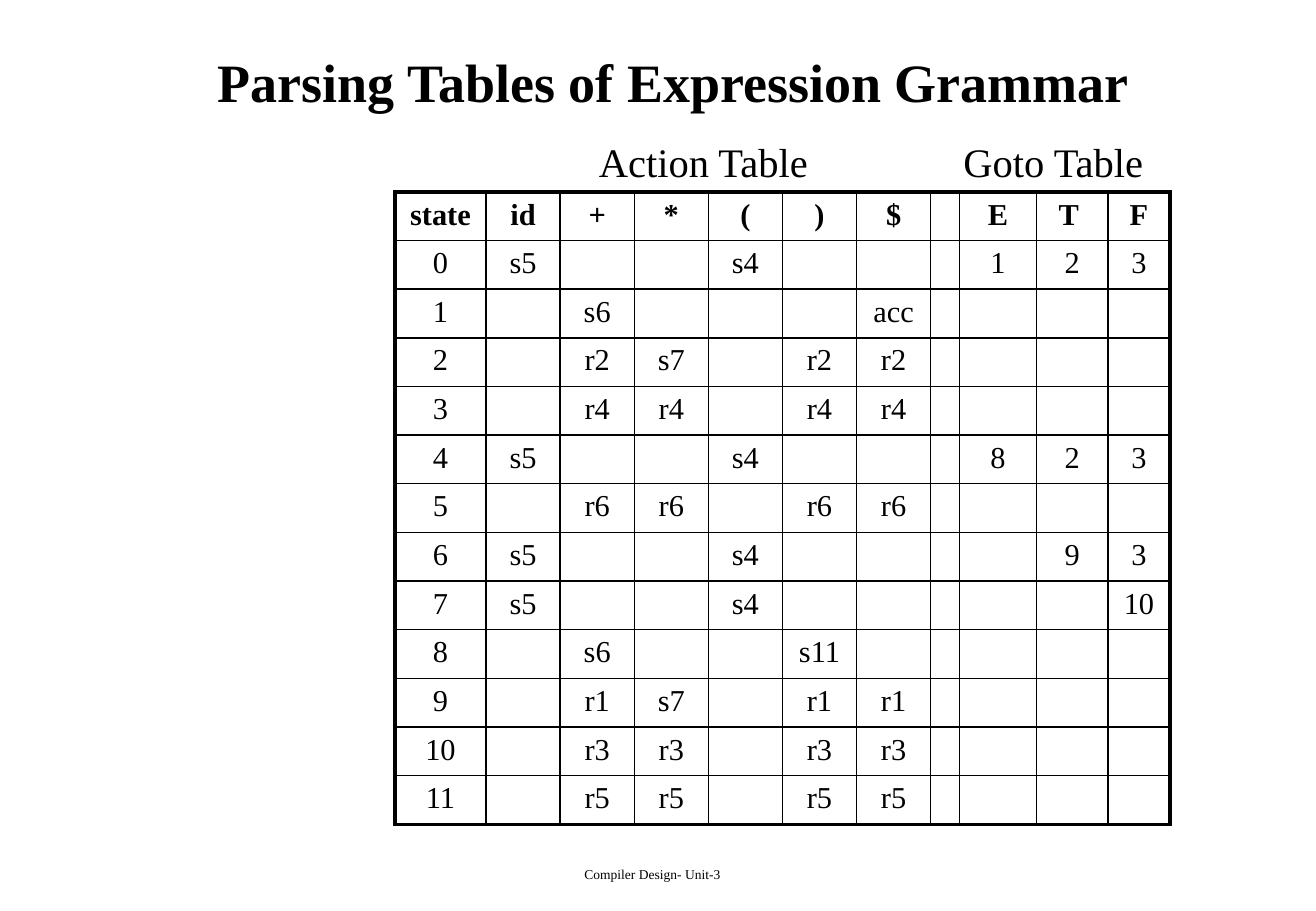
from lxml import etree
from pptx import Presentation
from pptx.dml.color import RGBColor
from pptx.enum.text import MSO_ANCHOR, MSO_AUTO_SIZE, PP_ALIGN
from pptx.oxml.ns import qn
from pptx.util import Inches, Pt

CENTER, LEFT = PP_ALIGN.CENTER, PP_ALIGN.LEFT
MIDDLE = MSO_ANCHOR.MIDDLE
NO_FIT = MSO_AUTO_SIZE.NONE
FONT = "Times New Roman"
BLACK = "000000"
THIN, THICK = 1, 2.25
COL_WIDTHS = [0.75] + [0.61] * 6 + [0.23, 0.63, 0.59, 0.51]
ROW_HEIGHT = 0.4
HEADER = "state,id,+,*,(,),$,,E,T ,F"
STATES = [
    "s5,,,s4,,,,1,2,3",
    ",s6,,,,acc,,,,",
    ",r2,s7,,r2,r2,,,,",
    ",r4,r4,,r4,r4,,,,",
    "s5,,,s4,,,,8,2,3",
    ",r6,r6,,r6,r6,,,,",
    "s5,,,s4,,,,,9,3",
    "s5,,,s4,,,,,,10",
    ",s6,,,s11,,,,,",
    ",r1,s7,,r1,r1,,,,",
    ",r3,r3,,r3,r3,,,,",
    ",r5,r5,,r5,r5,,,,",
]


def color(value):
    return RGBColor.from_string(value)


def write(tf, text, size, bold=False, align=CENTER):
    p = tf.paragraphs[0]
    p.text = text
    p.alignment = align
    p.font.name = FONT
    p.font.size = Pt(size)
    p.font.bold = bold
    p.font.color.rgb = color(BLACK)


def add_title(s, text, box):
    sp = s.shapes.title
    sp.left, sp.top, sp.width, sp.height = map(Inches, box)
    tf = sp.text_frame
    tf.auto_size = NO_FIT
    tf.vertical_anchor = MIDDLE
    write(tf, text, 32, bold=True)


def add_label(s, text, box, size, align=LEFT):
    tf = s.shapes.add_textbox(*map(Inches, box)).text_frame
    tf.word_wrap = True
    write(tf, text, size, align=align)


def set_borders(cell, widths):
    tc_pr = cell._tc.get_or_add_tcPr()
    for side, width in zip("LRTB", widths):
        ln = etree.SubElement(tc_pr, qn(f"a:ln{side}"), w=str(Pt(width)))
        fill = etree.SubElement(ln, qn("a:solidFill"))
        etree.SubElement(fill, qn("a:srgbClr"), val=BLACK)


def add_parsing_table(s, left, top):
    rows = [HEADER.split(",")]
    rows += [[str(n)] + state.split(",") for n, state in enumerate(STATES)]
    last_row, last_col = len(rows) - 1, len(COL_WIDTHS) - 1
    box = (left, top, sum(COL_WIDTHS), ROW_HEIGHT * len(rows))
    table = s.shapes.add_table(len(rows), len(COL_WIDTHS), *map(Inches, box)).table
    table.first_row = table.horz_banding = False
    for col, width in zip(table.columns, COL_WIDTHS):
        col.width = Inches(width)
    for r, row in enumerate(rows):
        table.rows[r].height = Inches(ROW_HEIGHT)
        for c, text in enumerate(row):
            cell = table.cell(r, c)
            write(cell.text_frame, text, 18, bold=r == 0)
            edges = (c == 0, c == last_col, r == 0, r == last_row)
            set_borders(cell, [THICK if edge else THIN for edge in edges])
            cell.fill.background()


def add_parsing_slide(prs):
    s = prs.slides.add_slide(prs.slide_layouts[5])
    left, top = 3.25, 1.58
    label_top = top - 0.5
    add_label(s, "Compiler Design- Unit-3", (3.34, 7.08, 4.06, 0.25), 8, CENTER)
    add_title(s, "Parsing Tables of Expression Grammar", (0.42, 0.17, 10.25, 1))
    add_parsing_table(s, left, top)
    add_label(s, "Action Table", (left + 1.58, label_top, 1.95, 0.5), 24)
    add_label(s, "Goto Table", (left + 4.58, label_top, 1.71, 0.5), 24)


def main():
    prs = Presentation()
    prs.slide_width, prs.slide_height = Inches(10.83), Inches(7.5)
    add_parsing_slide(prs)
    prs.save("out.pptx")


if __name__ == "__main__":
    main()
